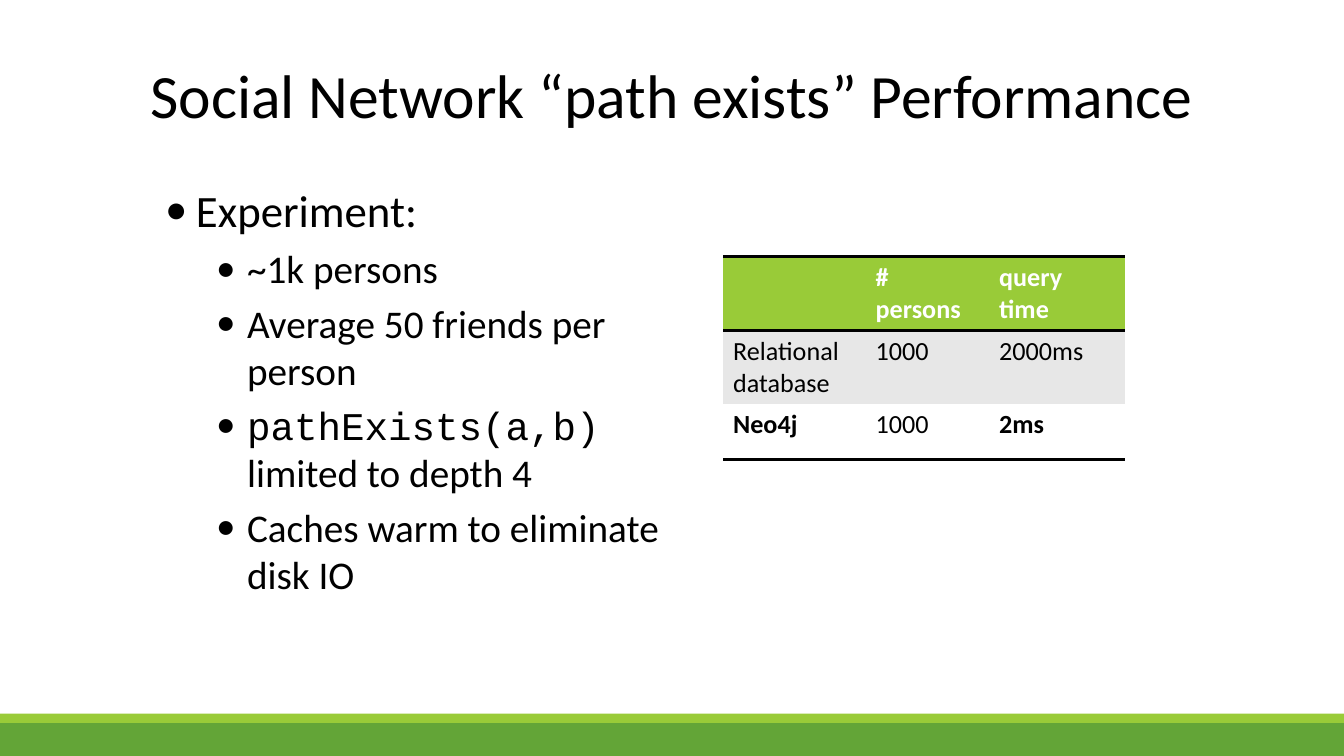
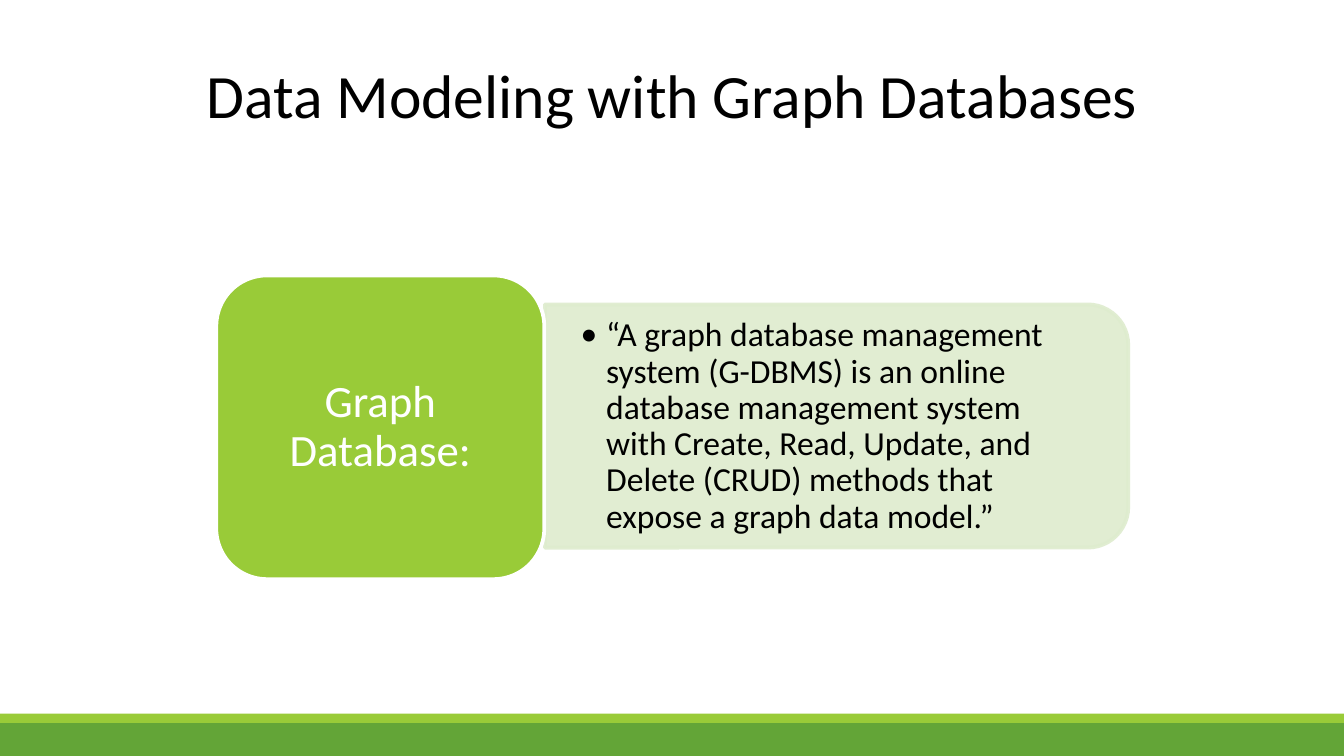
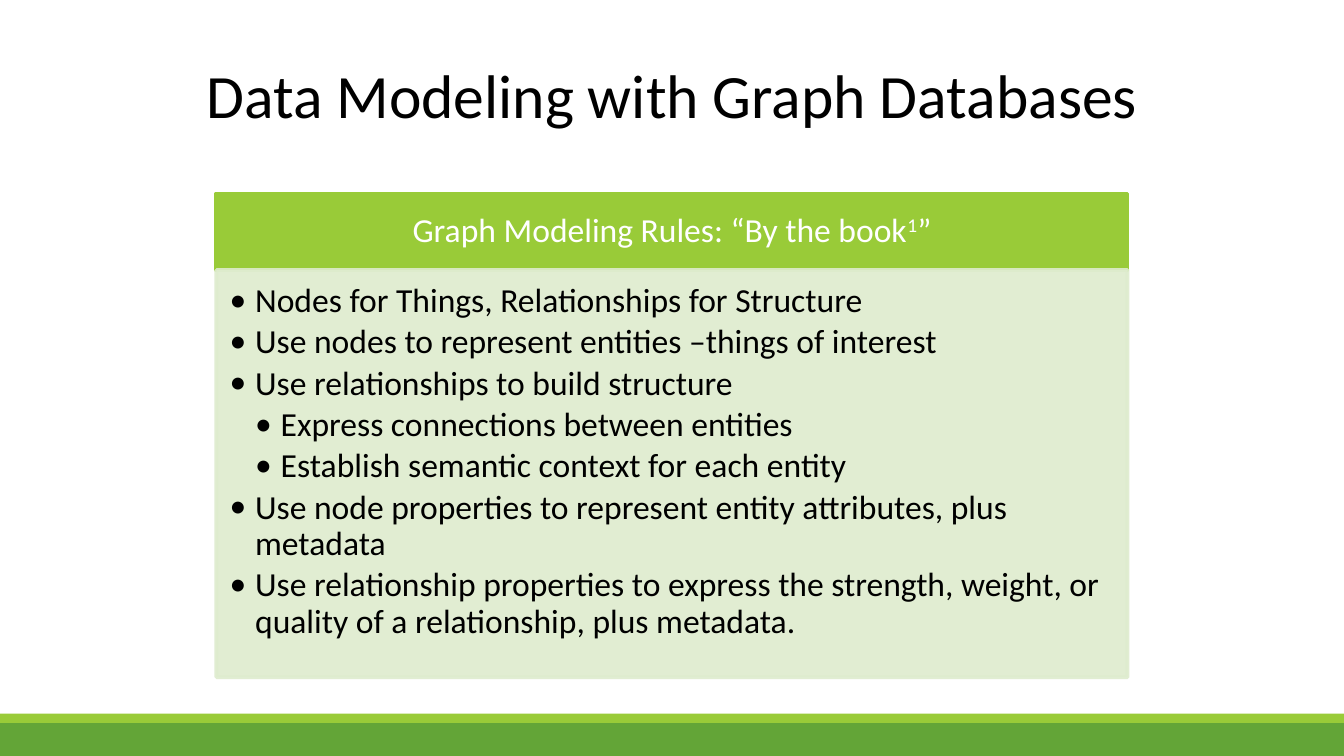
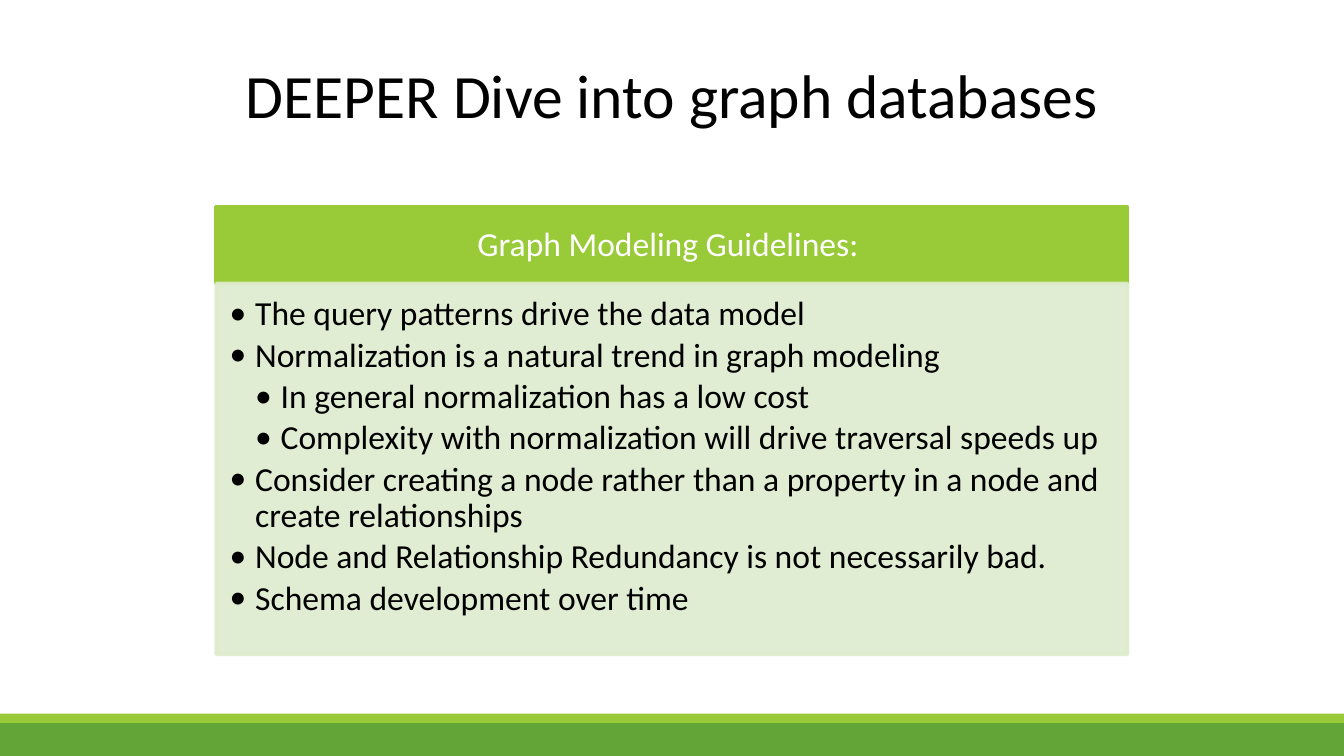
"""Build four slides on graph databases and their data modeling."""
from lxml import etree
from pptx import Presentation
from pptx.dml.color import RGBColor
from pptx.enum import shapes, text
from pptx.oxml import ns
from pptx.util import Inches, Pt

BLACK = RGBColor(0x00, 0x00, 0x00)
WHITE = RGBColor(0xFF, 0xFF, 0xFF)
LIME = RGBColor(0x99, 0xCB, 0x38)
GREEN = RGBColor(0x63, 0xA5, 0x37)
PALE = RGBColor(0xDE, 0xEC, 0xCE)
GREY = RGBColor(0xE7, 0xE7, 0xE7)
BODY_FONT = "Calibri"
CODE_FONT = "Courier New"
PANEL_LEFT, PANEL_WIDTH, HEADING_HEIGHT = 1.61, 6.78, 0.57
STEP = 0.19


def write(paragraph, words, size=18, color=BLACK, font=BODY_FONT, bold=False, raised=False):
    """Add a formatted run to a paragraph."""
    run = paragraph.add_run()
    run.text = words
    run.font.size = Pt(size)
    run.font.color.rgb = color
    run.font.name = font
    run.font.bold = bold
    if raised:
        run._r.get_or_add_rPr().set("baseline", "30000")


def set_bullet(paragraph, left, hang):
    """Give a paragraph a hanging round bullet."""
    properties = paragraph._p.get_or_add_pPr()
    properties.set("marL", str(Inches(left)))
    properties.set("indent", str(-Inches(hang)))
    etree.SubElement(properties, ns.qn("a:buFont")).set("typeface", BODY_FONT)
    etree.SubElement(properties, ns.qn("a:buChar")).set("char", "•")


def next_paragraph(frame):
    """Return the empty first paragraph of a frame, or a new one."""
    first = frame.paragraphs[0]
    return frame.add_paragraph() if first.runs else first


def set_frame(frame, anchor=text.MSO_ANCHOR.TOP, insets=(0.1, 0.05, 0.1, 0.05)):
    """Set wrapping, anchor and insets of a text frame."""
    frame.word_wrap = True
    frame.auto_size = text.MSO_AUTO_SIZE.NONE
    frame.vertical_anchor = anchor
    (frame.margin_left, frame.margin_top,
     frame.margin_right, frame.margin_bottom) = map(Inches, insets)


def add_block(slide, kind, box, fill, line=None, opacity=None):
    """Add a filled preset shape and return it."""
    block = slide.shapes.add_shape(kind, *map(Inches, box))
    block.shadow.inherit = False
    block.fill.solid()
    block.fill.fore_color.rgb = fill
    if line is None:
        block.line.fill.background()
    else:
        block.line.color.rgb = line
        block.line.width = Pt(2)
    if opacity is not None:
        for color in block._element.spPr.iter(ns.qn("a:srgbClr")):
            etree.SubElement(color, ns.qn("a:alpha")).set("val", str(opacity * 1000))
    return block


def add_slide(deck, title):
    """Add a slide with its title and the two bottom bands."""
    slide = deck.slides.add_slide(deck.slide_layouts[5])
    heading = slide.shapes.title
    heading.left, heading.top, heading.width, heading.height = map(
        Inches, (0.5, 0.23, 9, 0.94))
    set_frame(heading.text_frame, text.MSO_ANCHOR.MIDDLE)
    paragraph = heading.text_frame.paragraphs[0]
    paragraph.alignment = text.PP_ALIGN.CENTER
    write(paragraph, title, size=33)
    for box, color in (((0, 5.37, 10, 0.26), GREEN), ((0, 5.31, 10, 0.07), LIME)):
        add_block(slide, shapes.MSO_SHAPE.RECTANGLE, box, color)
    return slide


def write_label(frame, parts, size, insets):
    """Write a centred white label, raising every second part."""
    set_frame(frame, text.MSO_ANCHOR.MIDDLE, insets)
    paragraph = frame.paragraphs[0]
    paragraph.alignment = text.PP_ALIGN.CENTER
    paragraph.line_spacing = 0.9
    for index, words in enumerate(parts):
        write(paragraph, words, size=size, color=WHITE, raised=index % 2 == 1)


def write_points(frame, points):
    """Write (depth, words) pairs as a tight bulleted list."""
    for depth, words in points:
        paragraph = next_paragraph(frame)
        set_bullet(paragraph, STEP * depth, STEP)
        paragraph.alignment = text.PP_ALIGN.LEFT
        paragraph.level = depth
        paragraph.line_spacing = 0.9
        paragraph.space_after = Pt(2.7)
        write(paragraph, words)


def add_panel(slide, top, height, heading, points):
    """Add a heading bar with a pale list panel below it."""
    kind = shapes.MSO_SHAPE.RECTANGLE
    bar = add_block(slide, kind, (PANEL_LEFT, top, PANEL_WIDTH, HEADING_HEIGHT), LIME, LIME)
    write_label(bar.text_frame, heading, 18, (0.14, 0.08, 0.14, 0.08))
    panel = add_block(slide, kind, (PANEL_LEFT, top + HEADING_HEIGHT, PANEL_WIDTH, height),
                      PALE, PALE, opacity=90)
    set_frame(panel.text_frame, insets=(0.1, 0.1, 0.14, 0.16))
    write_points(panel.text_frame, points)


def add_experiment(slide):
    """Add the two-level list that describes the experiment."""
    box = slide.shapes.add_textbox(*map(Inches, (1.13, 1.31, 4.02, 3.71)))
    frame = box.text_frame
    set_frame(frame)
    points = [
        (0, [("Experiment:", BODY_FONT)]),
        (1, [("~1k persons", BODY_FONT)]),
        (1, [("Average 50 friends per person", BODY_FONT)]),
        (1, [("pathExists(a,b)", CODE_FONT), (" limited to depth 4", BODY_FONT)]),
        (1, [("Caches warm to eliminate disk IO", BODY_FONT)]),
    ]
    for depth, parts in points:
        paragraph = next_paragraph(frame)
        set_bullet(paragraph, 0.23 + 0.38 * depth, 0.23)
        paragraph.level = depth
        if depth:
            paragraph.space_before = Pt(4.2)
        for words, font in parts:
            write(paragraph, words, size=24 - 3 * depth, font=font)


def set_borders(cell, ruled):
    """Draw black rules on the named sides and clear the others."""
    properties = cell._tc.get_or_add_tcPr()
    for side in "LRTB":
        line = etree.SubElement(properties, ns.qn("a:ln" + side))
        if side in ruled:
            line.set("w", str(Pt(2)))
            fill = etree.SubElement(line, ns.qn("a:solidFill"))
            etree.SubElement(fill, ns.qn("a:srgbClr")).set("val", str(BLACK))
        else:
            etree.SubElement(line, ns.qn("a:noFill"))


def add_timings(slide):
    """Add the table of query times."""
    rows = [["", "# persons", "query time"],
            ["Relational database", "1000", "2000ms"],
            ["Neo4j", "1000", "2ms"]]
    fills = [LIME, GREY, WHITE]
    rules = ["TB", "T", "B"]
    bold_words = rows[0] + ["Neo4j", "2ms"]
    table = slide.shapes.add_table(3, 3, *map(Inches, (5.38, 1.91, 2.99, 1.5))).table
    for column, width in zip(table.columns, (1.06, 0.92, 1.01)):
        column.width = Inches(width)
    for row, height in zip(table.rows, (0.54, 0.54, 0.41)):
        row.height = Inches(height)
    for r, row in enumerate(rows):
        for c, words in enumerate(row):
            cell = table.cell(r, c)
            set_borders(cell, rules[r])
            cell.fill.solid()
            cell.fill.fore_color.rgb = fills[r]
            cell.margin_left = cell.margin_right = Pt(5.4)
            cell.margin_top = cell.margin_bottom = Pt(2.7)
            if words:
                write(cell.text_frame.paragraphs[0], words, size=14,
                      color=BLACK if r else WHITE, bold=words in bold_words)


def add_definition(slide):
    """Add the term block and its quoted definition."""
    quote_back = add_block(slide, shapes.MSO_SHAPE.ROUND_2_SAME_RECTANGLE,
                           (5.32, 1, 1.81, 4.34), PALE, PALE, opacity=90)
    quote_back.rotation = 90
    quote = slide.shapes.add_textbox(*map(Inches, (4.05, 2.36, 4.25, 1.63)))
    set_frame(quote.text_frame, text.MSO_ANCHOR.MIDDLE, (0.27, 0.14, 0.27, 0.14))
    write_points(quote.text_frame, [
        (1, "“A graph database management system (G-DBMS) is an online database "
            "management system with Create, Read, Update, and Delete (CRUD) methods "
            "that expose a graph data model.”")])
    term = add_block(slide, shapes.MSO_SHAPE.ROUNDED_RECTANGLE,
                     (1.61, 2.05, 2.44, 2.26), LIME, WHITE)
    write_label(term.text_frame, ["Graph Database:"], 24, (0.1, 0.05, 0.1, 0.05))


def main():
    """Build the deck and save it."""
    deck = Presentation()
    deck.slide_width = Inches(10)
    deck.slide_height = deck.slide_width * 9 // 16

    performance = add_slide(deck, "Social Network “path exists” Performance")
    add_experiment(performance)
    add_timings(performance)

    add_definition(add_slide(deck, "Data Modeling with Graph Databases"))

    modeling_rules = add_slide(deck, "Data Modeling with Graph Databases")
    add_panel(modeling_rules, 1.44, 3.03, ["Graph Modeling Rules: “By the book", "1", "”"], [
        (1, "Nodes for Things, Relationships for Structure"),
        (1, "Use nodes to represent entities –things of interest"),
        (1, "Use relationships to build structure"),
        (2, "Express connections between entities"),
        (2, "Establish semantic context for each entity"),
        (1, "Use node properties to represent entity attributes, plus metadata"),
        (1, "Use relationship properties to express the strength, weight, or quality "
            "of a relationship, plus metadata."),
    ])

    guidelines = add_slide(deck, "DEEPER Dive into graph databases")
    add_panel(guidelines, 1.54, 2.76, ["Graph Modeling Guidelines: "], [
        (1, "The query patterns drive the data model"),
        (1, "Normalization is a natural trend in graph modeling"),
        (2, "In general normalization has a low cost"),
        (2, "Complexity with normalization will drive traversal speeds up"),
        (1, "Consider creating a node rather than a property in a node and create "
            "relationships"),
        (1, "Node and Relationship Redundancy is not necessarily bad."),
        (1, "Schema development over time"),
    ])

    deck.save("out.pptx")


if __name__ == "__main__":
    main()
